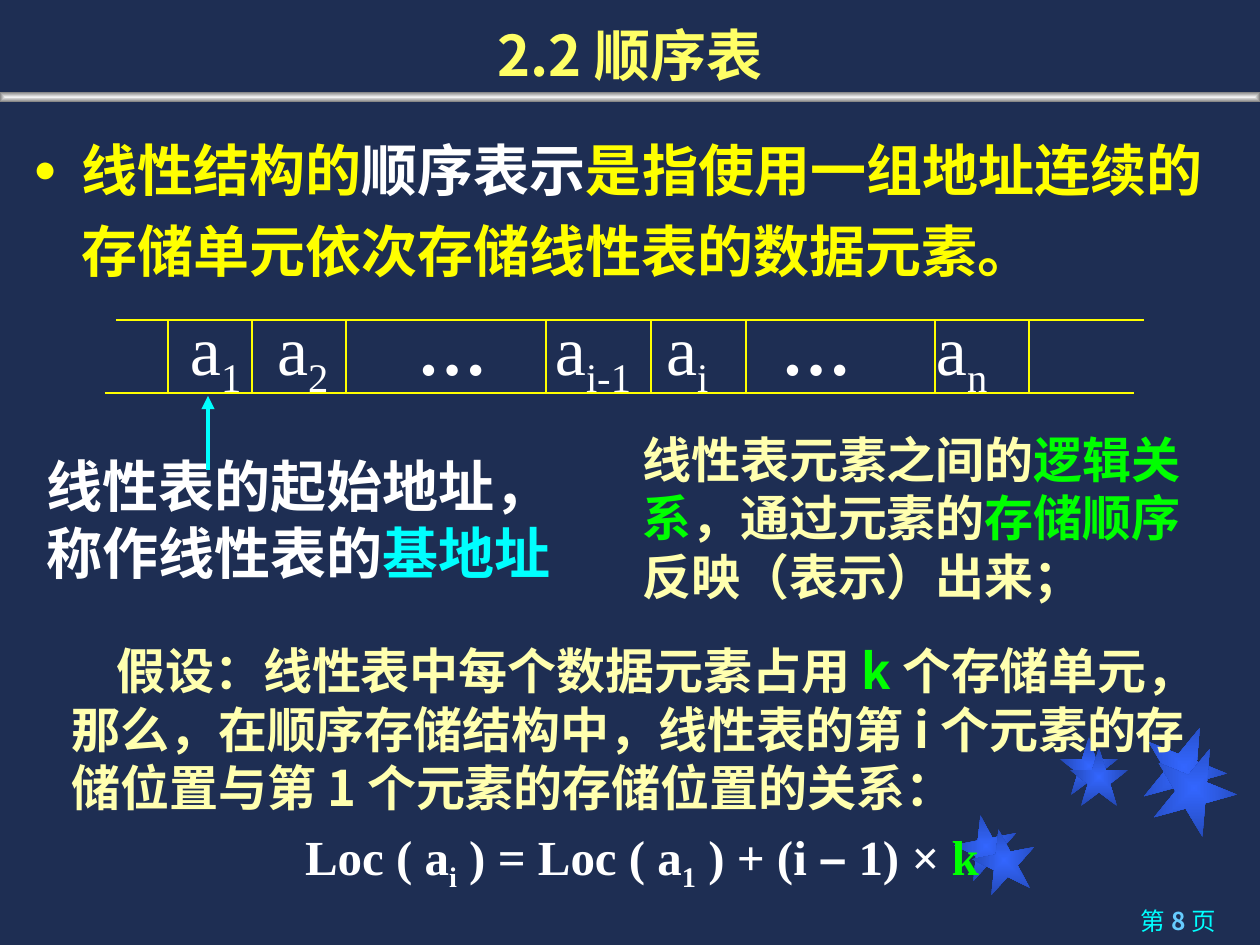
from pptx import Presentation
from pptx.dml.color import RGBColor
from pptx.enum.shapes import MSO_CONNECTOR, MSO_SHAPE
from pptx.enum.text import MSO_ANCHOR, PP_ALIGN
from pptx.oxml.ns import qn
from pptx.util import Pt
from lxml.etree import SubElement

PX = 914400 / 126
HEX = {"navy": "1E2E53", "yellow": "FFFF00", "title": "FFFF66", "cream": "FFFFAF",
       "white": "FFFFFF", "cyan": "00FFFF", "sky": "66CCFF", "green": "00FF00",
       "blue": "3366FF", "deep": "2449B6", "light": "F2F2F2", "grey": "808080"}
RGB = {name: RGBColor.from_string(code) for name, code in HEX.items()}
NOTO, TIMES, ARIAL = "Noto Sans CJK SC", "Times New Roman", "Arial"


def emu(*nums):
    return [round(num * PX) for num in nums]


def write(box, size, face, *paras, bold=True):
    """Fill a box; each run is (text, colour, options)."""
    frame = box.text_frame
    frame.word_wrap = True
    for i, runs in enumerate(paras):
        para = frame.paragraphs[0] if i == 0 else frame.add_paragraph()
        for text, tint, *rest in runs:
            opts = rest[0] if rest else {}
            run = para.add_run()
            run.text = text
            font = run.font
            font.size = Pt(size)
            font.bold = opts.get("bold", bold)
            font.color.rgb = RGB[tint]
            font.name = opts.get("face", face)
            props = font._element
            SubElement(props, qn("a:ea")).set("typeface", NOTO)
            if opts.get("sub"):
                props.set("baseline", "-25000")
    return frame


deck = Presentation()
deck.slide_width, deck.slide_height = emu(1260, 945)
slide = deck.slides.add_slide(deck.slide_layouts[6])
slide.background.fill.solid()
slide.background.fill.fore_color.rgb = RGB["navy"]
shapes = slide.shapes
star, rect = MSO_SHAPE.STAR_5_POINT, MSO_SHAPE.RECTANGLE

# Stars and title bar, shaded from the centre
for kind, x, y, w, h, turn, inner, outer in [
        (star, 955, 815, 63, 63, 349, "blue", "deep"),
        (star, 1060, 737, 58, 58, 0, "blue", "deep"),
        (star, 1142, 725, 84, 84, 22, "blue", "deep"),
        (star, 973, 829, 63, 63, 349, "blue", "deep"),
        (star, 1070, 748, 58, 58, 0, "blue", "deep"),
        (star, 1152, 746, 84, 84, 22, "blue", "deep"),
        (rect, 0, 92, 1260, 10, 0, "light", "grey")]:
    shape = shapes.add_shape(kind, *emu(x, y, w, h))
    shape.rotation = turn
    shape.shadow.inherit = False
    shape.line.fill.background()
    shape.fill.gradient()
    for stop, tint in zip(shape.fill.gradient_stops, (inner, outer)):
        stop.color.rgb = RGB[tint]
    grad = shape._element.spPr.find(qn("a:gradFill"))
    grad.remove(grad.find(qn("a:lin")))
    way = SubElement(grad, qn("a:path"), {"path": "shape"})
    SubElement(way, qn("a:fillToRect"), dict.fromkeys("ltrb", "50000"))

# Page number
page = write(shapes.add_textbox(*emu(897, 900, 331, 45)), 14, NOTO,
             [("第 ", "cyan"), ("8 ", "sky", {"bold": True}), ("页", "cyan")], bold=False)
page.paragraphs[0].alignment = PP_ALIGN.RIGHT

# Title
head = write(shapes.add_textbox(*emu(0, 0, 1260, 94)), 32, NOTO, [("2.2 顺序表", "title")])
head.vertical_anchor = MSO_ANCHOR.BOTTOM
head.paragraphs[0].alignment = PP_ALIGN.CENTER

# Definition with a bullet
body = write(shapes.add_textbox(*emu(21, 116, 1197, 183)), 32, ARIAL,
             [("线性结构的", "yellow"), ("顺序表示", "white"),
              ("是指使用一组地址连续的存储单元依次存储线性表的数据元素。", "yellow")])
para = body.paragraphs[0]
para.line_spacing = 1.2
props = para._p.get_or_add_pPr()
hang = emu(48)[0]
props.set("marL", str(hang))
props.set("indent", str(-hang))
SubElement(SubElement(props, qn("a:buClr")), qn("a:srgbClr")).set("val", HEX["yellow"])
SubElement(props, qn("a:buSzPct")).set("val", "70000")
SubElement(props, qn("a:buFont")).set("typeface", ARIAL)
SubElement(props, qn("a:buChar")).set("char", "●")

# Base address note
write(shapes.add_textbox(*emu(34, 445, 558, 147)), 32, TIMES,
      [("线性表的起始地址，", "white")],
      [("称作线性表的", "white"), ("基地址", "cyan")])

# Names of the cells, set on tab stops
sub = {"sub": True}
dots = ("…", "white", {"bold": True})
row = write(shapes.add_textbox(*emu(168, 299, 853, 97)), 40, TIMES,
            [("a", "white"), ("1", "white", sub), ("\ta", "white"), ("2", "white", sub),
             ("\t", "white"), dots, ("\ta", "white"), ("i-1", "white", sub),
             ("\ta", "white"), ("i", "white", sub), ("\t", "white"), dots,
             ("\ta", "white"), ("n", "white", sub)], bold=False)
row.margin_left = emu(22)[0]
tabs = SubElement(row.paragraphs[0]._p.get_or_add_pPr(), qn("a:tabLst"))
for x in (277, 418, 555, 666, 782, 936):
    SubElement(tabs, qn("a:tab"), {"pos": str(emu(x - 190)[0]), "algn": "l"})

# Cell borders, then the arrow to the first cell
top, base = 320, 393
lines = [(116, top, 1144, top), (105, base, 1134, base)]
lines += [(x, top, x, base) for x in (168, 252, 346, 546, 651, 746, 935, 1029)]
lines += [(179, base, 158, base), (208, 470, 208, 396)]
for ends in lines:
    line = shapes.add_connector(MSO_CONNECTOR.STRAIGHT, *emu(*ends))
    line.line.color.rgb = RGB["yellow"]
    line.line.width = Pt(0.75)
    SubElement(line._element.spPr, qn("a:effectLst"))
line.line.color.rgb = RGB["cyan"]
line.line.width = Pt(2.5)
SubElement(line.line._get_or_add_ln(), qn("a:tailEnd")).set("type", "triangle")

# Logical order note
write(shapes.add_textbox(*emu(630, 423, 595, 189)), 28, TIMES,
      [("线性表元素之间的", "cream"), ("逻辑关系", "green"), ("，通过元素的", "cream"),
       ("存储顺序", "green"), ("反映（表示）出来；", "cream")])

# Address formula
rule = write(
    shapes.add_textbox(*emu(59, 634, 1166, 260)), 28, NOTO,
    [("假设：线性表中每个数据元素占用 ", "cream"), ("k ", "green"),
     ("个存储单元，那么，在顺序存储结构中，线性表的第 i 个元素的存储位置"
      "与第 1 个元素的存储位置的关系：", "cream")],
    [(text, tint, {"face": face, "sub": low}) for text, tint, face, low in [
        ("Loc ( a", "white", TIMES, False), ("i", "white", TIMES, True),
        (" ) = Loc ( a", "white", TIMES, False), ("1", "white", TIMES, True),
        (" ) + (i ", "white", TIMES, False), ("–", "white", ARIAL, False),
        (" 1) × ", "white", TIMES, False), ("k", "green", TIMES, False)]])
for para in rule.paragraphs:
    para.space_before = Pt(5.6)
rule.paragraphs[0]._p.get_or_add_pPr().set("indent", str(emu(45)[0]))
rule.paragraphs[1].alignment = PP_ALIGN.CENTER

deck.save("out.pptx")
